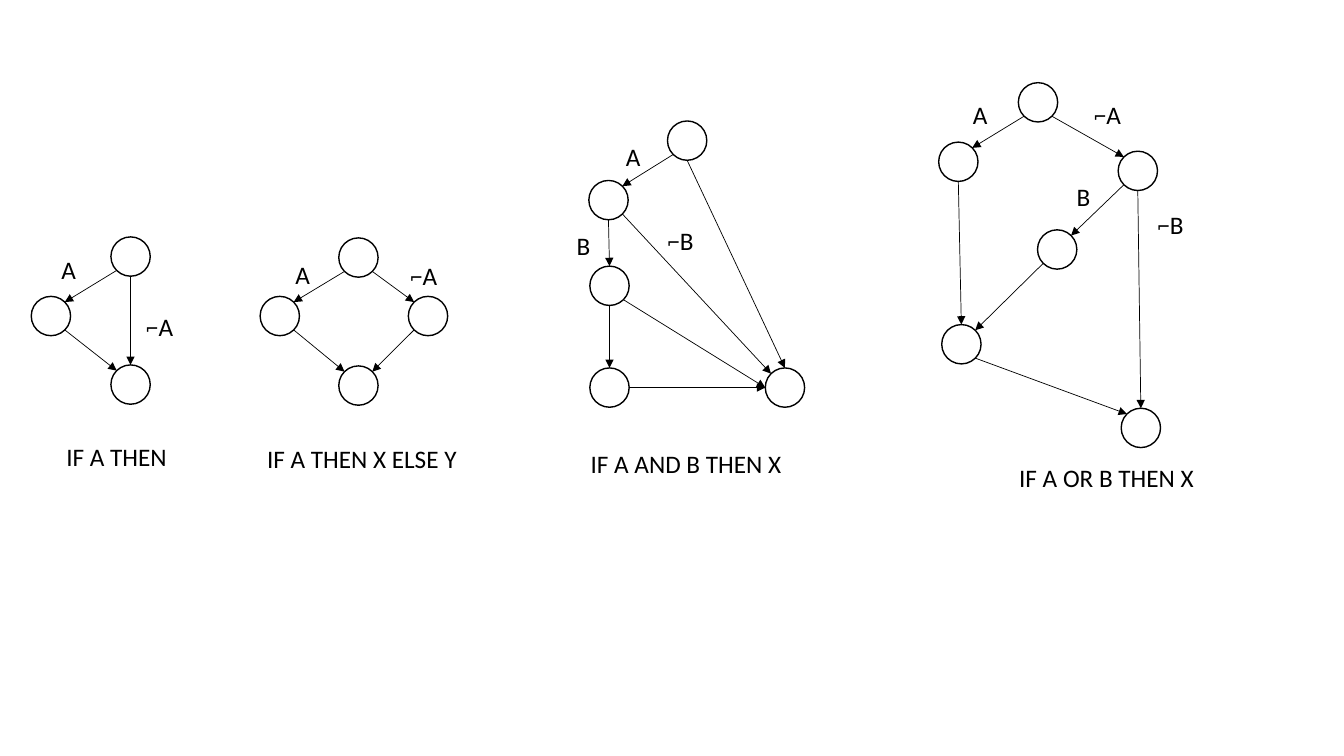
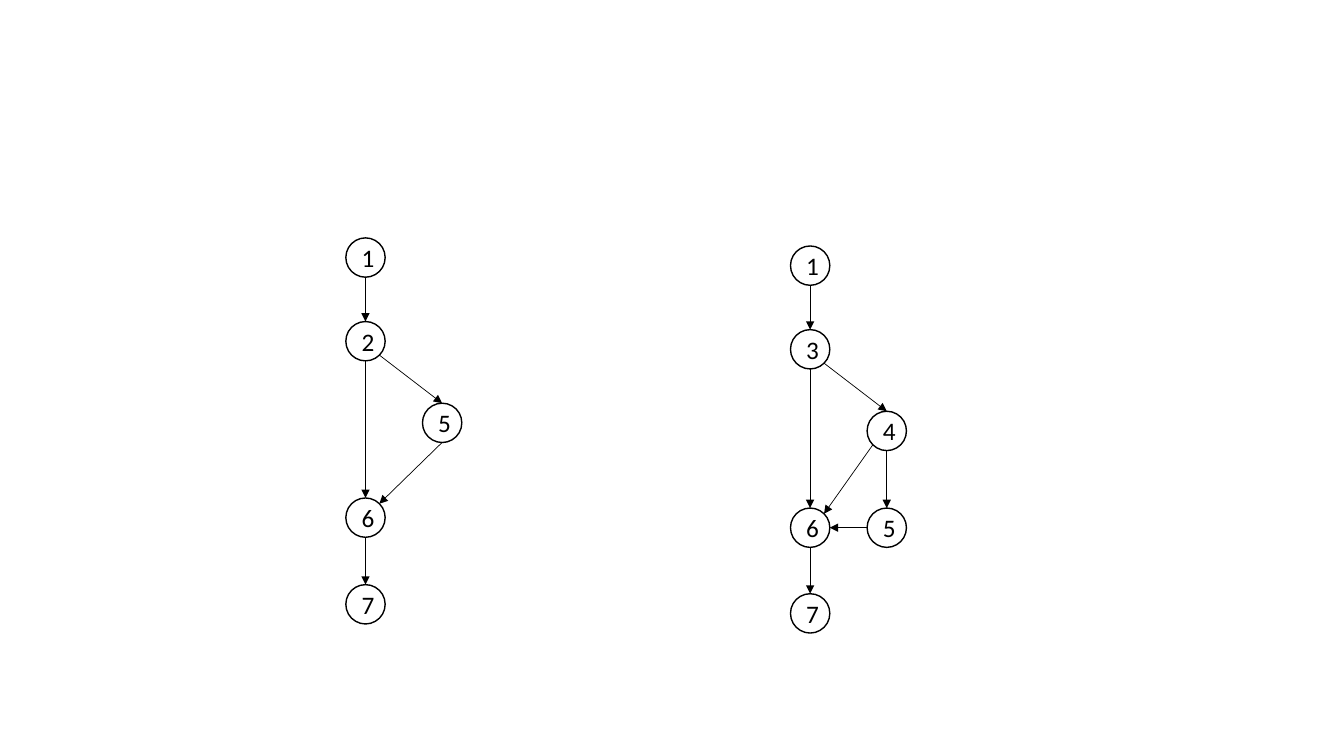
from dataclasses import dataclass
from enum import IntEnum
from math import cos, pi, sin

from lxml import etree
from pptx import Presentation
from pptx.dml.color import RGBColor
from pptx.enum.shapes import MSO_CONNECTOR as Connector, MSO_SHAPE as Preset
from pptx.enum.text import MSO_AUTO_SIZE as AutoSize, PP_ALIGN as Align
from pptx.oxml.ns import qn
from pptx.util import Inches, Pt


@dataclass(frozen=True)
class Theme:
    ink: RGBColor = RGBColor(0, 0, 0)
    paper: RGBColor = RGBColor(255, 255, 255)
    font: str = "Calibri"
    text_size: Pt = Pt(18)
    outline: Pt = Pt(1)
    edge: Pt = Pt(0.5)


THEME = Theme()
NODE_SIZE = 0.39
LABEL_HEIGHT = 0.4
LABEL_WIDTHS = {1: 0.41, 2: 0.53}  # by number of letters


class Site(IntEnum):
    """Connection sites of an ellipse, counter-clockwise from the top."""
    TOP = 0
    TOP_LEFT = 1
    LEFT = 2
    BOTTOM_LEFT = 3
    BOTTOM = 4
    BOTTOM_RIGHT = 5
    RIGHT = 6
    TOP_RIGHT = 7


T, TL, L, BL, B, BR, R, TR = Site


@dataclass(frozen=True)
class Graph:
    """Nodes map a name to left and top; edges give node, site, node, site."""
    nodes: dict
    edges: tuple
    labels: tuple = ()  # text, left, top
    caption: tuple = ()  # text, left, top, width
    numbered: bool = False


CONDITIONS = (
    Graph(
        nodes={"if": (1.1, 2.35), "then": (0.31, 2.94), "end": (1.1, 3.62)},
        edges=(("if", BL, "then", TR), ("then", BR, "end", TL),
               ("if", B, "end", T)),
        labels=(("A", 0.51, 2.47), ("⌐A", 1.35, 3.04)),
        caption=("IF A THEN", 0.56, 4.33, 1.21),
    ),
    Graph(
        nodes={"if": (3.36, 2.36), "then": (2.58, 2.94),
               "else": (4.05, 2.94), "end": (3.36, 3.63)},
        edges=(("if", BL, "then", TR), ("then", BR, "end", TL),
               ("if", BR, "else", TL), ("else", BL, "end", TR)),
        labels=(("A", 2.83, 2.52), ("⌐A", 3.97, 2.53)),
        caption=("IF A THEN X ELSE Y", 2.55, 4.35, 2.12),
    ),
    Graph(
        nodes={"if A": (6.62, 1.2), "if B": (5.84, 1.79), "both": (5.85, 2.64),
               "then": (5.85, 3.65), "end": (7.59, 3.65)},
        edges=(("if A", BL, "if B", TR), ("if B", B, "both", T),
               ("if A", B, "end", T), ("both", B, "then", T),
               ("then", R, "end", L), ("both", BR, "end", L),
               ("if B", BR, "end", TL)),
        labels=(("A", 6.11, 1.35), ("⌐B", 6.52, 2.19), ("B", 5.62, 2.24)),
        caption=("IF A AND B THEN X", 5.76, 4.4, 2.11),
    ),
    Graph(
        nodes={"if A": (10.1, 0.82), "A holds": (9.31, 1.41),
               "if B": (11.09, 1.5), "B holds": (10.29, 2.28),
               "then": (9.34, 3.22), "end": (11.12, 4.05)},
        edges=(("if A", BL, "A holds", TR), ("A holds", B, "then", T),
               ("if A", BR, "if B", TL), ("if B", BL, "B holds", TR),
               ("B holds", BL, "then", TR), ("then", BR, "end", TL),
               ("if B", B, "end", T)),
        labels=(("⌐A", 10.75, 0.94), ("A", 9.55, 0.94),
                ("B", 10.58, 1.75), ("⌐B", 11.38, 2.03)),
        caption=("IF A OR B THEN X", 10.01, 4.54, 1.95),
    ),
)

FLOWS = (
    Graph(
        nodes={"1": (3.43, 2.36), "2": (3.43, 3.19), "5": (4.19, 4),
               "6": (3.43, 4.94), "7": (3.43, 5.8)},
        edges=(("1", B, "2", T), ("2", B, "6", T), ("2", BR, "5", T),
               ("5", B, "6", TR), ("6", B, "7", T)),
        numbered=True,
    ),
    Graph(
        nodes={"1": (7.84, 2.44), "3": (7.84, 3.27), "4": (8.6, 4.08),
               "5": (8.6, 5.04), "6": (7.84, 5.04), "7": (7.84, 5.89)},
        edges=(("1", B, "3", T), ("3", B, "6", T), ("3", BR, "4", T),
               ("4", B, "5", T), ("5", L, "6", R), ("4", BL, "6", TR),
               ("6", B, "7", T)),
        numbered=True,
    ),
)


def write(frame, text, align):
    line = frame.paragraphs[0]
    line.text = text
    line.alignment = align
    line.font.name = THEME.font
    line.font.size = THEME.text_size
    line.font.color.rgb = THEME.ink


def add_node(slide, left, top, number=""):
    node = slide.shapes.add_shape(
        Preset.OVAL, Inches(left), Inches(top),
        Inches(NODE_SIZE), Inches(NODE_SIZE))
    node.shadow.inherit = False
    node.fill.solid()
    node.fill.fore_color.rgb = THEME.paper
    node.line.color.rgb = THEME.ink
    node.line.width = THEME.outline
    if number:
        write(node.text_frame, number, Align.CENTER)
    return node


def site_point(node, site):
    angle = site * pi / 4
    radius = node.width / 2
    return (round(node.left + radius * (1 - sin(angle))),
            round(node.top + radius * (1 - cos(angle))))


def add_edge(slide, start, start_site, end, end_site):
    """Draw an arrow glued to the eight-site scheme of ellipses."""
    edge = slide.shapes.add_connector(
        Connector.STRAIGHT,
        *site_point(start, start_site), *site_point(end, end_site))
    edge.line.color.rgb = THEME.ink
    edge.line.width = THEME.edge
    etree.SubElement(edge.line._get_or_add_ln(), qn("a:tailEnd"),
                     type="triangle")
    etree.SubElement(edge._element.spPr, qn("a:effectLst"))
    glue = edge._element.find(".//" + qn("p:cNvCxnSpPr"))
    for tag, node, site in (("a:stCxn", start, start_site),
                            ("a:endCxn", end, end_site)):
        etree.SubElement(glue, qn(tag), id=str(node.shape_id),
                         idx=str(int(site)))


def add_label(slide, text, left, top, width=None):
    label = slide.shapes.add_textbox(
        Inches(left), Inches(top),
        Inches(width or LABEL_WIDTHS[len(text)]), Inches(LABEL_HEIGHT))
    label.text_frame.word_wrap = False
    label.text_frame.auto_size = AutoSize.SHAPE_TO_FIT_TEXT
    write(label.text_frame, text, Align.LEFT)


def add_graph(slide, graph):
    nodes = {name: add_node(slide, *place, name if graph.numbered else "")
             for name, place in graph.nodes.items()}
    for start, start_site, end, end_site in graph.edges:
        add_edge(slide, nodes[start], start_site, nodes[end], end_site)
    for label in graph.labels:
        add_label(slide, *label)
    if graph.caption:
        add_label(slide, *graph.caption)


def main():
    deck = Presentation()
    deck.slide_width, deck.slide_height = Inches(13.33), Inches(7.5)
    blank = deck.slide_layouts[6]
    for graphs in (CONDITIONS, FLOWS):
        slide = deck.slides.add_slide(blank)
        for graph in graphs:
            add_graph(slide, graph)
    deck.save("out.pptx")


if __name__ == "__main__":
    main()
